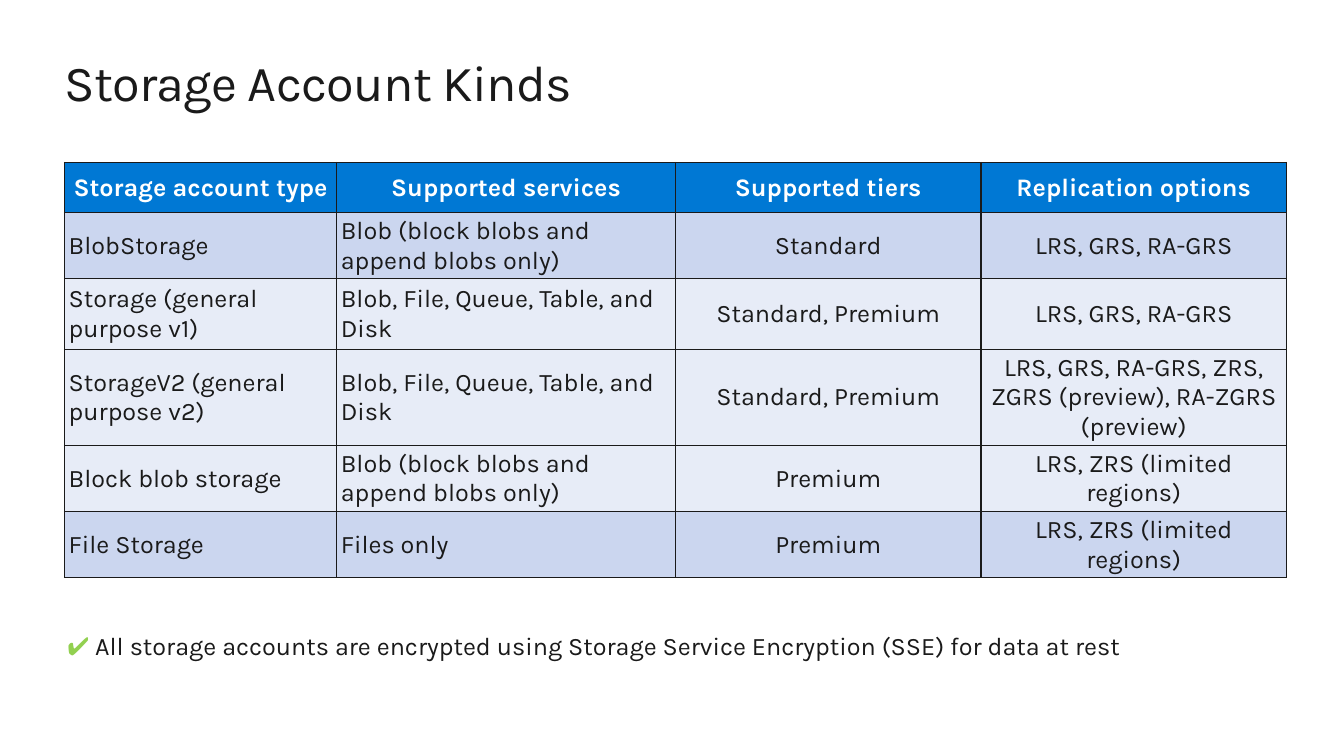
from dataclasses import dataclass

from lxml import etree
from pptx import Presentation, util as u
from pptx.dml.color import RGBColor
from pptx.enum import text as t
from pptx.oxml import ns

Pt = u.Pt
FONT = "Karla"
COLORS = {
    "ink": "1A1A1A",
    "white": "FFFFFF",
    "header": "0078D4",
    "dark_band": "CBD6EF",
    "light_band": "E7ECF7",
    "check": "92D050",
}
LEFT = 46.08
COLUMN_WIDTHS = (194.4, 242.0, 218.25, 218.25)


@dataclass(frozen=True)
class TableRow:
    texts: tuple[str, str, str, str]
    height: float
    fill: str


ROWS = (
    TableRow(("Storage account type", "Supported services", "Supported tiers",
              "Replication options"), 36, "header"),
    TableRow(("BlobStorage", "Blob (block blobs and append blobs only)",
              "Standard", "LRS, GRS, RA-GRS"), 36, "dark_band"),
    TableRow(("Storage (general purpose v1)", "Blob, File, Queue, Table, and Disk",
              "Standard, Premium", "LRS, GRS, RA-GRS"), 50.4, "light_band"),
    TableRow(("StorageV2 (general purpose v2)", "Blob, File, Queue, Table, and Disk",
              "Standard, Premium",
              "LRS, GRS, RA-GRS, ZRS, ZGRS (preview), RA-ZGRS (preview)"),
             50.4, "light_band"),
    TableRow(("Block blob storage", "Blob (block blobs and append blobs only)",
              "Premium", "LRS, ZRS (limited regions)"), 36, "light_band"),
    TableRow(("File Storage", "Files only", "Premium",
              "LRS,\u00a0ZRS (limited regions)"), 21.6, "dark_band"),
)


def add_text(paragraph, content: str, *, size: float = 18, color: str = "ink",
             bold: bool = False, centered: bool = False, spacing: float = 0) -> None:
    """Append a formatted run to a paragraph."""
    paragraph.alignment = t.PP_ALIGN.CENTER if centered else t.PP_ALIGN.LEFT
    run = paragraph.add_run()
    run.text = content
    run.font.name = FONT
    run.font.size = Pt(size)
    run.font.bold = bold
    run.font.color.rgb = RGBColor.from_string(COLORS[color])
    if spacing:
        run.font._element.set("spc", str(round(spacing * 100)))


def add_borders(cell, color: str, width: float) -> None:
    """Draw all four edges of a cell; must come before its fill."""
    properties = cell._tc.get_or_add_tcPr()
    for edge in ("a:lnL", "a:lnR", "a:lnT", "a:lnB"):
        line = etree.SubElement(properties, ns.qn(edge), w=str(Pt(width)))
        fill = etree.SubElement(line, ns.qn("a:solidFill"))
        etree.SubElement(fill, ns.qn("a:srgbClr"), val=COLORS[color])


def add_storage_table(slide, top: float) -> None:
    height = sum(row.height for row in ROWS)
    table = slide.shapes.add_table(
        len(ROWS), len(COLUMN_WIDTHS), Pt(LEFT), Pt(top),
        Pt(sum(COLUMN_WIDTHS)), Pt(height)).table
    table.horz_banding = False
    for column, width in zip(table.columns, COLUMN_WIDTHS):
        column.width = Pt(width)
    for row_index, row in enumerate(ROWS):
        table.rows[row_index].height = Pt(row.height)
        is_header = row_index == 0
        for column_index, content in enumerate(row.texts):
            cell = table.cell(row_index, column_index)
            cell.margin_left = cell.margin_right = Pt(3)
            cell.margin_top = cell.margin_bottom = Pt(2)
            cell.vertical_anchor = t.MSO_ANCHOR.MIDDLE
            add_borders(cell, "ink", 1)
            cell.fill.solid()
            cell.fill.fore_color.rgb = RGBColor.from_string(COLORS[row.fill])
            add_text(cell.text_frame.paragraphs[0], content, bold=is_header,
                     color="white" if is_header else "ink",
                     centered=is_header or column_index >= 2)


presentation = Presentation()
presentation.slide_width = Pt(960)
presentation.slide_height = Pt(540)
slide = presentation.slides.add_slide(presentation.slide_layouts[5])

# Title
title = slide.shapes.title
title.left, title.top, title.width, title.height = Pt(LEFT), Pt(36), Pt(867.6), Pt(44)
frame = title.text_frame
frame.margin_left = frame.margin_right = frame.margin_top = frame.margin_bottom = 0
frame.word_wrap = True
frame.auto_size = t.MSO_AUTO_SIZE.SHAPE_TO_FIT_TEXT
add_text(frame.paragraphs[0], "Storage Account Kinds", size=36, spacing=-0.5)

# Account kinds
add_storage_table(slide, top=116)

# Encryption note
note = slide.shapes.add_textbox(Pt(41), Pt(446.4), Pt(878.4), Pt(29))
note.text_frame.word_wrap = True
note.text_frame.auto_size = t.MSO_AUTO_SIZE.SHAPE_TO_FIT_TEXT
note_paragraph = note.text_frame.paragraphs[0]
add_text(note_paragraph, "\u2714\ufe0f ", color="check")
add_text(note_paragraph, "All storage accounts are encrypted using Storage Service "
         "Encryption (SSE) for data at rest")

presentation.save("out.pptx")
